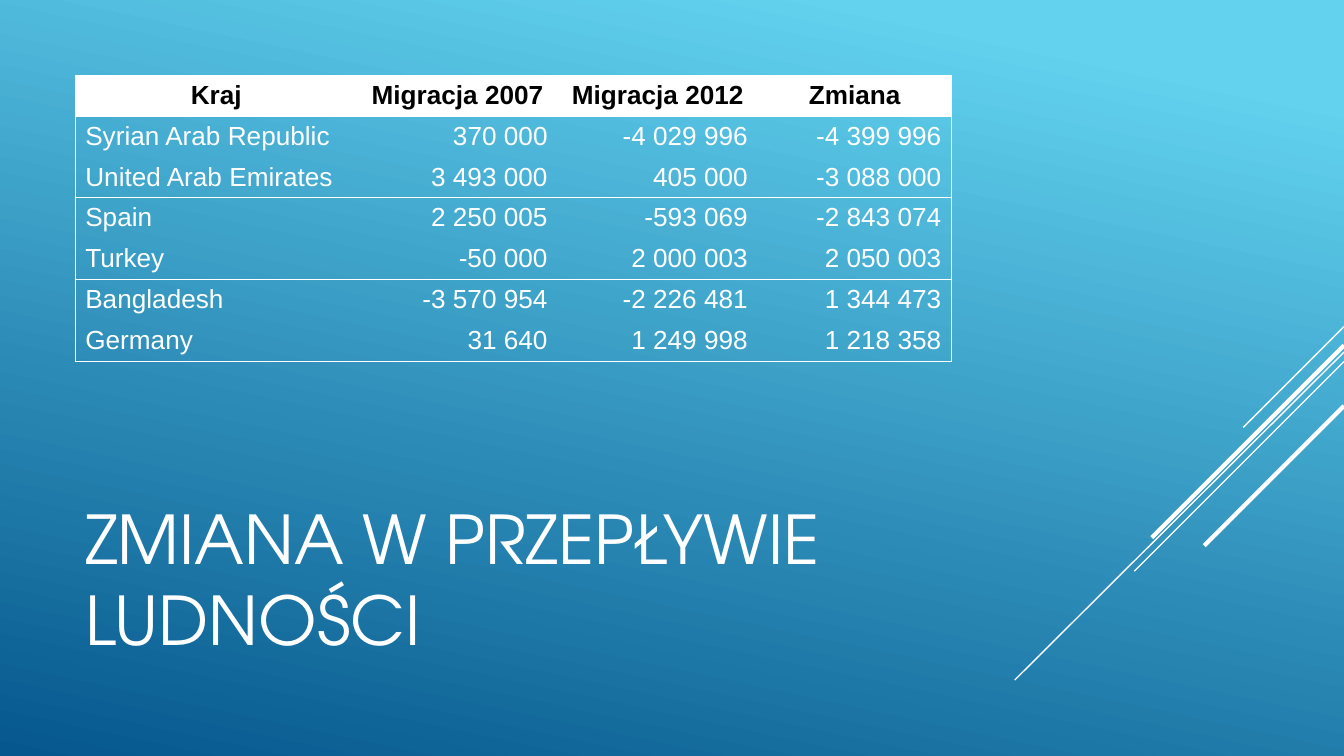
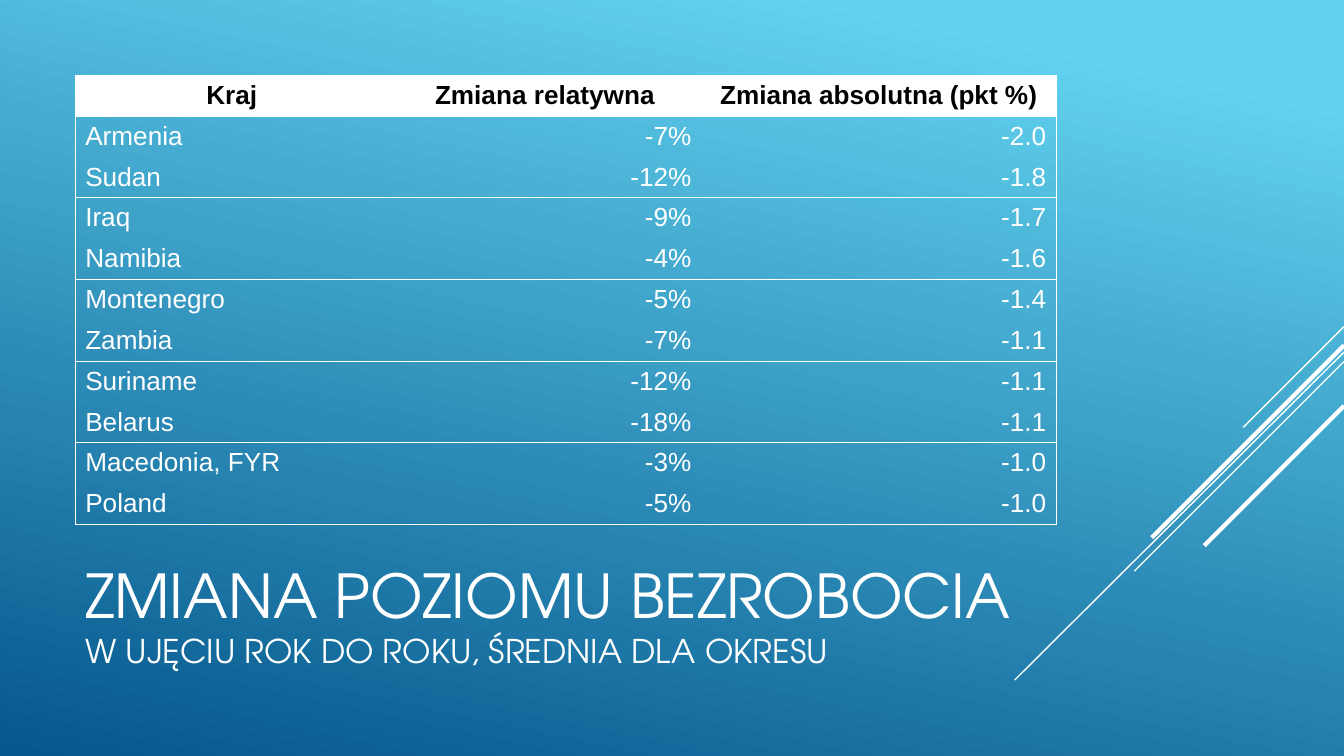
"""Build two slides of country tables over a shared blue gradient."""
from dataclasses import dataclass

from lxml.etree import SubElement
from pptx import Presentation
from pptx.dml.color import RGBColor
from pptx.enum.shapes import MSO_CONNECTOR as Link
from pptx.enum.text import MSO_ANCHOR as Anchor, MSO_AUTO_SIZE as Fit, PP_ALIGN as Align
from pptx.oxml import parse_xml
from pptx.oxml.ns import nsdecls, qn
from pptx.util import Inches, Pt

WHITE, BLACK, SKY, NAVY = "FFFFFF", "000000", "62D2EF", "05578D"
HEAD, BODY = "TeX Gyre Adventor", "Arial"
WIDE = Inches(10)
HIGH = WIDE * 9 // 16
EDGE = Inches(0.56)
ROW = Inches(2.13) // 7
SIDE = Inches(0.15) // 2
PLAIN = "{2D5ABB26-0587-4C30-8999-92F81FD0307C}"


@dataclass(frozen=True)
class Ray:
    top: float
    left: float
    end: float
    width: float = 0.75


@dataclass(frozen=True)
class Page:
    top: float
    width: float
    title: list[tuple[str, float]]
    cols: list[float]
    rows: list[list[str]]


RAYS = [
    Ray(2.43, 9.25, 3.18),
    Ray(2.62, 7.55, 5.06),
    Ray(2.69, 8.44, 4.25),
    Ray(2.57, 8.57, 4, 2.25),
    Ray(3.02, 8.96, 4.06, 2.25),
]

PAGES = [
    Page(3.68, 7, [("ZMIANA W PRZEPŁYWIE LUDNOŚCI", 36)], [2.1, 1.49, 1.49, 1.44], [
        ["Kraj", "Migracja 2007", "Migracja 2012", "Zmiana"],
        ["Syrian Arab Republic", "370 000", "-4 029 996", "-4 399 996"],
        ["United Arab Emirates", "3 493 000", "405 000", "-3 088 000"],
        ["Spain", "2 250 005", "-593 069", "-2 843 074"],
        ["Turkey", "-50 000", "2 000 003", "2 050 003"],
        ["Bangladesh", "-3 570 954", "-2 226 481", "1 344 473"],
        ["Germany", "31 640", "1 249 998", "1 218 358"],
    ]),
    Page(3.95, 7.69, [("ZMIANA POZIOMU BEZROBOCIA", 32.4),
                      ("W UJĘCIU ROK DO ROKU, ŚREDNIA DLA OKRESU", 17.5)], [2.33, 2.33, 2.64], [
        ["Kraj", "Zmiana relatywna", "Zmiana absolutna (pkt %)"],
        ["Armenia", "-7%", "-2.0"],
        ["Sudan", "-12%", "-1.8"],
        ["Iraq", "-9%", "-1.7"],
        ["Namibia", "-4%", "-1.6"],
        ["Montenegro", "-5%", "-1.4"],
        ["Zambia", "-7%", "-1.1"],
        ["Suriname", "-12%", "-1.1"],
        ["Belarus", "-18%", "-1.1"],
        ["Macedonia, FYR", "-3%", "-1.0"],
        ["Poland", "-5%", "-1.0"],
    ]),
]


def tint(code: str) -> RGBColor:
    return RGBColor.from_string(code)


def write(para, text: str, *, size: float, font: str, color: str = WHITE,
          bold: bool = False, align=Align.LEFT) -> None:
    para.alignment = align
    run = para.add_run()
    run.text = text
    run.font.size, run.font.name, run.font.bold = Pt(size), font, bold
    run.font.color.rgb = tint(color)


def inset(part) -> None:
    part.margin_left = part.margin_right = SIDE
    part.margin_top = part.margin_bottom = Inches(0.04)


def paint(master) -> None:
    fill = master.background.fill
    fill.gradient()
    fill.gradient_angle = 258
    for stop, color, place in zip(fill.gradient_stops, (SKY, NAVY), (0.1, 1)):
        stop.color.rgb = tint(color)
        stop.position = place


def draw_rays(slide, layout) -> None:
    for holder in list(layout.placeholders)[1:]:
        layout.shapes.element.remove(holder.element)
    group = slide.shapes.add_group_shape()
    for ray in RAYS:
        line = group.shapes.add_connector(
            Link.STRAIGHT, WIDE, Inches(ray.top), Inches(ray.left), Inches(ray.end))
        line.line.color.rgb = tint(WHITE)
        line.line.width = Pt(ray.width)
        SubElement(line.element.spPr, qn("a:effectLst"))
    layout.shapes.element.append(group.element)


def set_title(slide, page: Page) -> None:
    title = slide.shapes.title
    title.left, title.top = EDGE, Inches(page.top)
    title.width, title.height = Inches(page.width), Inches(1.24)
    frame = title.text_frame
    frame.word_wrap, frame.auto_size = True, Fit.NONE
    frame.vertical_anchor = Anchor.MIDDLE
    inset(frame)
    para = frame.paragraphs[0]
    for pos, (text, size) in enumerate(page.title):
        if pos:
            para.add_line_break()
        write(para, text, size=size, font=HEAD)


def rule(cell, marks: dict[str, bool]) -> None:
    props = cell._tc.get_or_add_tcPr()
    solid = f'<a:solidFill><a:srgbClr val="{WHITE}"/></a:solidFill>'
    for pos, (side, shown) in enumerate(marks.items()):
        props.insert(pos, parse_xml(
            f'<a:ln{side} {nsdecls("a")} w="{Pt(0.75)}">'
            f'{solid if shown else "<a:noFill/>"}</a:ln{side}>'))


def add_grid(slide, page: Page) -> None:
    high, wide = len(page.rows), len(page.cols)
    frame = slide.shapes.add_table(high, wide, EDGE, EDGE,
                                   Inches(sum(page.cols)), ROW * high)
    table = frame.table
    table.horz_banding = False
    next(frame.element.iter(qn("a:tableStyleId"))).text = PLAIN
    for col, width in zip(table.columns, page.cols):
        col.width = Inches(width)
    for y, row in enumerate(page.rows):
        table.rows[y].height = ROW
        for x, text in enumerate(row):
            cell, top = table.cell(y, x), y == 0
            inset(cell)
            if top:
                cell.fill.solid()
                cell.fill.fore_color.rgb = tint(WHITE)
            else:
                cell.fill.background()
            align = Align.CENTER if top else Align.RIGHT if x else Align.LEFT
            write(cell.text_frame.paragraphs[0], text, size=14, font=BODY,
                  color=BLACK if top else WHITE, bold=top, align=align)
            rule(cell, {"L": x == 0, "R": x == wide - 1,
                        "T": top or y % 2 == 1, "B": y % 2 == 0})


def main() -> None:
    deck = Presentation()
    deck.slide_width, deck.slide_height = WIDE, HIGH
    layout = deck.slide_layouts[5]
    paint(deck.slide_master)
    for pos, page in enumerate(PAGES):
        slide = deck.slides.add_slide(layout)
        if pos == 0:
            draw_rays(slide, layout)
        set_title(slide, page)
        add_grid(slide, page)
    deck.save("out.pptx")


if __name__ == "__main__":
    main()
